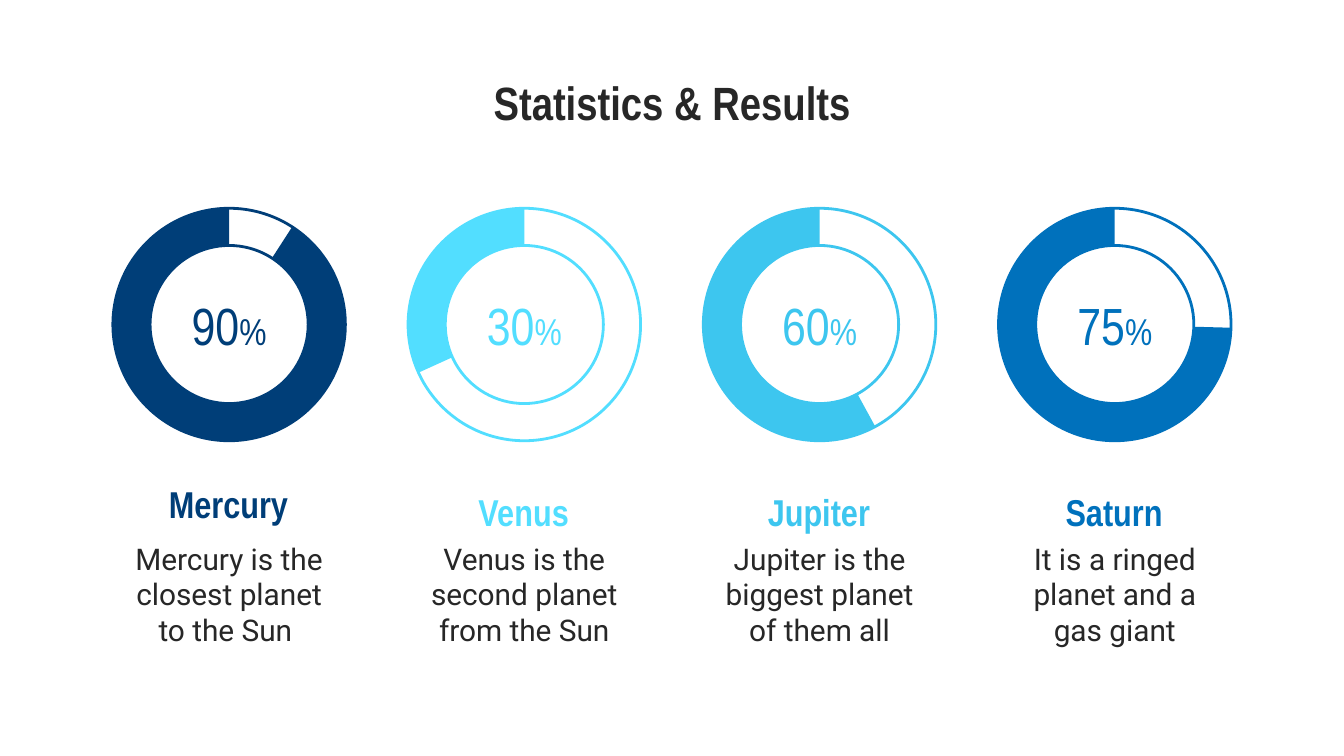
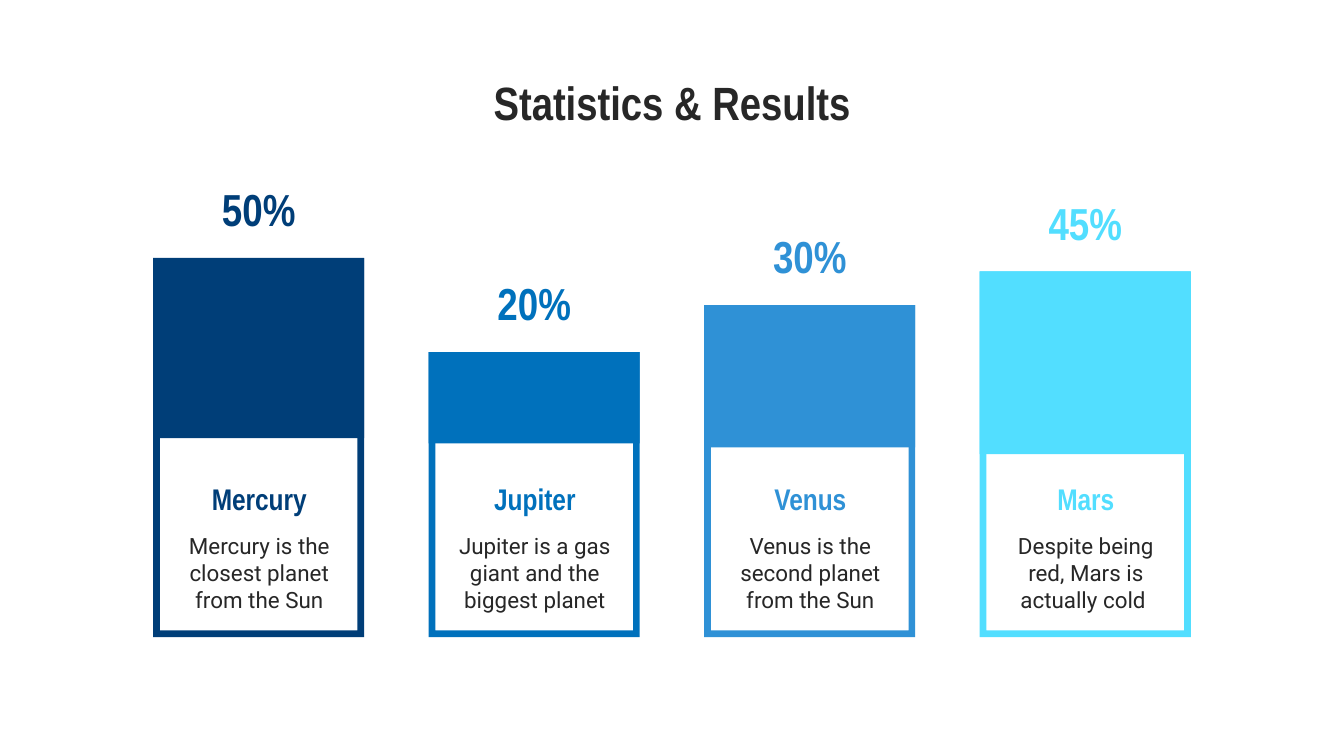
from dataclasses import dataclass

from pptx import Presentation
from pptx.dml.color import RGBColor
from pptx.enum import shapes, text
from pptx.util import Inches, Pt


@dataclass(frozen=True)
class Theme:
    heading_font: str = "Arial Narrow"
    body_font: str = "Roboto"
    ink: str = "272727"
    navy: str = "003E78"
    blue: str = "0071BC"
    azure: str = "2F91D6"
    sky: str = "3DC6EF"
    cyan: str = "52DEFF"
    title_size: int = 25
    ring_number_size: int = 28
    ring_sign_size: int = 20
    ring_name_size: int = 20
    ring_body_size: int = 16
    bar_value_size: int = 24
    bar_name_size: int = 16
    bar_body_size: int = 12
    ring_line: float = 1.5


THEME = Theme()
TITLE = "Statistics & Results"


@dataclass(frozen=True)
class Box:
    left: float
    top: float
    width: float
    height: float

    def lengths(self):
        return tuple(Inches(v) for v in (self.left, self.top, self.width, self.height))


@dataclass(frozen=True)
class Style:
    size: int
    color: str
    font: str = THEME.heading_font
    bold: bool = False


@dataclass(frozen=True)
class Ring:
    name: str
    percent: int
    start_angle: float
    color: str
    body: str
    name_top: float = 3.49


@dataclass(frozen=True)
class Bar:
    name: str
    percent: int
    top: float
    panel_top: float
    color: str
    body: str


RINGS = [
    Ring("Mercury", 90, 302.86, THEME.navy, "Mercury is the closest planet to the Sun ", 3.43),
    Ring("Venus", 30, 155.53, THEME.cyan, "Venus is the second planet from the Sun"),
    Ring("Jupiter", 60, 61.39, THEME.sky, "Jupiter is the biggest planet of them all"),
    Ring("Saturn", 75, 1.6, THEME.blue, "It is a ringed planet and a gas giant"),
]
RING_SIZE, RING_TOP, RING_THICKNESS = 1.73, 1.55, 0.16
RING_END_ANGLE = 269.97
RING_FIRST, RING_LAST = 0.84, 7.43

BARS = [
    Bar("Mercury", 50, 1.92, 3.26, THEME.navy, "Mercury is the closest planet from the Sun"),
    Bar("Jupiter", 20, 2.62, 3.3, THEME.blue, "Jupiter is a gas giant and the biggest planet"),
    Bar("Venus", 30, 2.27, 3.33, THEME.azure, "Venus is the second planet from the Sun"),
    Bar("Mars", 45, 2.02, 3.38, THEME.cyan, "Despite being red, Mars is actually cold "),
]
BAR_WIDTH, BAR_FOOT, BAR_BORDER = 1.57, 4.74, 0.05
BAR_FIRST, BAR_LAST = 1.14, 7.29


def spread(first: float, last: float, count: int) -> list[float]:
    """Return evenly spaced left edges from first to last."""
    return [first + (last - first) * i / (count - 1) for i in range(count)]


def style_run(run, style: Style) -> None:
    run.font.name = style.font
    run.font.size = Pt(style.size)
    run.font.bold = style.bold
    run.font.color.rgb = RGBColor.from_string(style.color)


def set_frame(frame, parts: list[tuple[str, Style]], middle: bool = False,
              line_spacing: float = 1.0) -> None:
    """Fill a text frame with one centred paragraph of styled parts."""
    frame.word_wrap = True
    frame.auto_size = text.MSO_AUTO_SIZE.NONE
    frame.vertical_anchor = text.MSO_ANCHOR.MIDDLE if middle else text.MSO_ANCHOR.TOP
    frame.margin_left = frame.margin_right = Inches(0.1)
    frame.margin_top = frame.margin_bottom = Inches(0.1)
    paragraph = frame.paragraphs[0]
    paragraph.alignment = text.PP_ALIGN.CENTER
    paragraph.line_spacing = line_spacing
    for words, style in parts:
        run = paragraph.add_run()
        run.text = words
        style_run(run, style)


def add_label(slide, box: Box, parts: list[tuple[str, Style]], middle: bool = False,
              line_spacing: float = 1.0) -> None:
    label = slide.shapes.add_textbox(*box.lengths())
    set_frame(label.text_frame, parts, middle, line_spacing)


def add_preset(slide, kind, box: Box, color: str, adjustments: tuple[float, ...] = (),
               outlined: bool = False) -> None:
    """Draw a preset shape, either filled or as an outline only."""
    preset = slide.shapes.add_shape(kind, *box.lengths())
    preset.shadow.inherit = False
    for index, value in enumerate(adjustments):
        preset.adjustments[index] = value
    rgb = RGBColor.from_string(color)
    if outlined:
        preset.fill.background()
        preset.line.color.rgb = rgb
        preset.line.width = Pt(THEME.ring_line)
    else:
        preset.fill.solid()
        preset.fill.fore_color.rgb = rgb
        preset.line.fill.background()


def add_titled_slide(deck):
    slide = deck.slides.add_slide(deck.slide_layouts[5])
    title = slide.shapes.title
    title.left, title.top, title.width, title.height = Box(0.5, 0.45, 9, 0.54).lengths()
    set_frame(title.text_frame, [(TITLE, Style(THEME.title_size, THEME.ink, bold=True))])
    return slide


def arc_adjustment(degrees: float) -> float:
    """Convert degrees to the scale that adjustments use for angles."""
    return degrees * 60000 / 100000


def add_ring(slide, ring: Ring, left: float) -> None:
    circle = Box(left, RING_TOP, RING_SIZE, RING_SIZE)
    add_preset(slide, shapes.MSO_SHAPE.DONUT, circle, ring.color,
               (RING_THICKNESS,), outlined=True)
    add_preset(slide, shapes.MSO_SHAPE.BLOCK_ARC, circle, ring.color,
               (arc_adjustment(ring.start_angle), arc_adjustment(RING_END_ANGLE),
                RING_THICKNESS))
    add_label(slide, Box(left + 0.42, 2.22, 0.89, 0.39),
              [(str(ring.percent), Style(THEME.ring_number_size, ring.color)),
               ("%", Style(THEME.ring_sign_size, ring.color))], middle=True)
    add_label(slide, Box(left, 3.92, RING_SIZE, 1.05),
              [(ring.body, Style(THEME.ring_body_size, THEME.ink, THEME.body_font))])
    add_label(slide, Box(left + 0.04, ring.name_top, 1.64, 0.52),
              [(ring.name, Style(THEME.ring_name_size, ring.color, bold=True))],
              line_spacing=1.15)


def add_bar(slide, bar: Bar, left: float) -> None:
    add_preset(slide, shapes.MSO_SHAPE.FRAME,
               Box(left, bar.top, BAR_WIDTH, BAR_FOOT - bar.top), bar.color,
               (BAR_BORDER / BAR_WIDTH,))
    add_preset(slide, shapes.MSO_SHAPE.RECTANGLE,
               Box(left, bar.top, BAR_WIDTH, bar.panel_top - bar.top), bar.color)
    add_label(slide, Box(left + 0.14, bar.top - 0.73, 1.29, 0.73),
              [(f"{bar.percent}%", Style(THEME.bar_value_size, bar.color, bold=True))],
              middle=True)
    add_label(slide, Box(left + 0.06, 3.56, 1.46, 0.3),
              [(bar.name, Style(THEME.bar_name_size, bar.color, bold=True))], middle=True)
    add_label(slide, Box(left + 0.06, 3.86, 1.46, 0.89),
              [(bar.body, Style(THEME.bar_body_size, THEME.ink, THEME.body_font))])


def main() -> None:
    deck = Presentation()
    deck.slide_width = Inches(10)
    deck.slide_height = deck.slide_width * 9 // 16

    ring_slide = add_titled_slide(deck)
    for ring, left in zip(RINGS, spread(RING_FIRST, RING_LAST, len(RINGS))):
        add_ring(ring_slide, ring, left)

    bar_slide = add_titled_slide(deck)
    for bar, left in zip(BARS, spread(BAR_FIRST, BAR_LAST, len(BARS))):
        add_bar(bar_slide, bar, left)

    deck.save("out.pptx")


if __name__ == "__main__":
    main()
